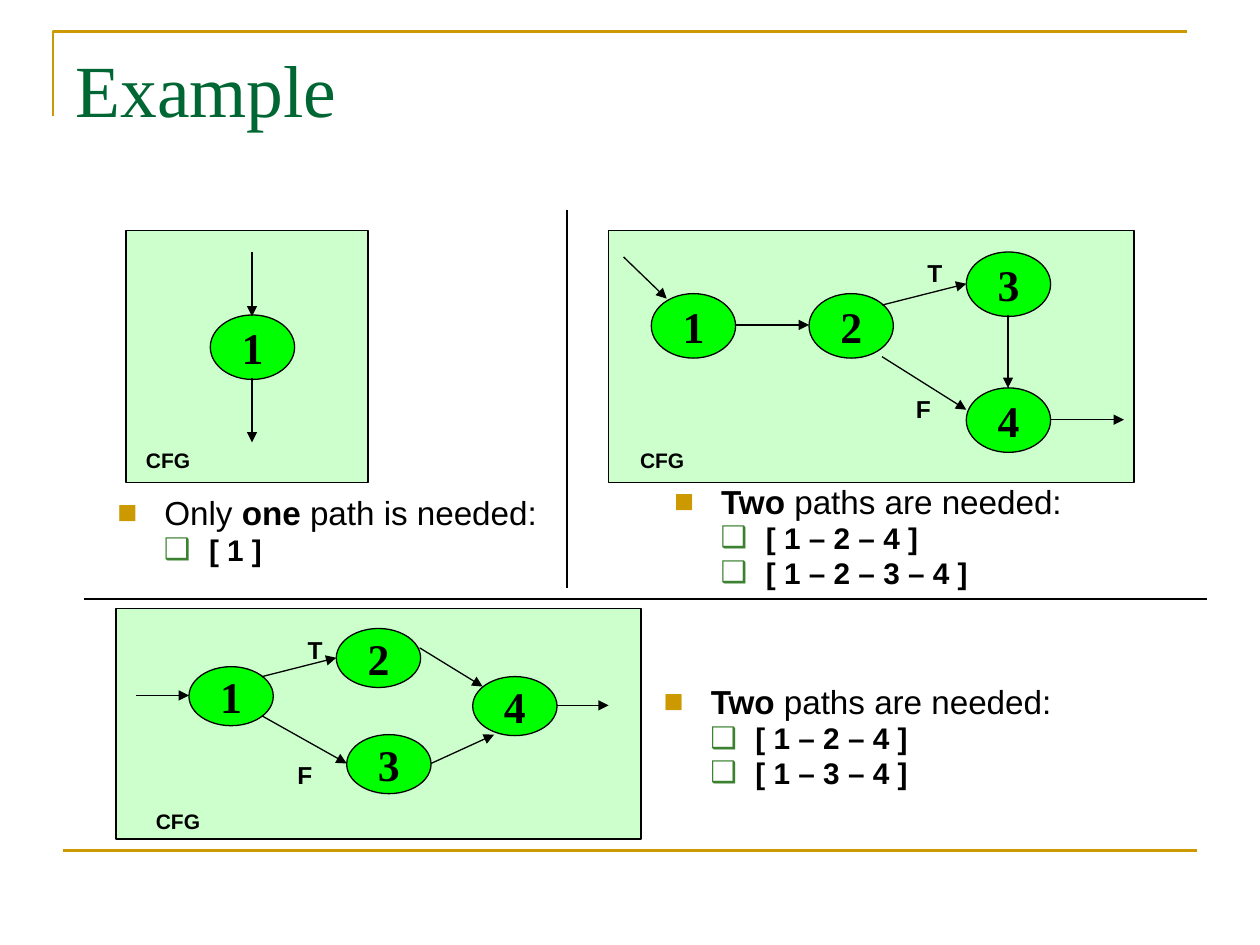
"""Build a slide that compares the test paths of three control flow graphs."""
from dataclasses import dataclass, field
from typing import Any

import lxml.etree
import pptx
import pptx.dml.color
import pptx.enum.shapes
import pptx.enum.text
import pptx.oxml.ns
import pptx.util

Point = tuple[float, float]
Box = tuple[float, float, float, float]

BLACK, GOLD, TITLE_GREEN, BULLET_GREEN = "000000", "CC9900", "006633", "3B812F"
PANEL_FILL, NODE_FILL = "CCFFCC", "00FF00"
SANS, SERIF = "Arial", "Times New Roman"
NODE_WIDTH = 1.7


@dataclass
class Label:
    text: str
    left: float
    top: float


@dataclass
class Graph:
    panel: Box
    node_height: float
    nodes: list[Label]
    arrows: list[tuple[Point, Point]]
    caption: Label
    branches: list[Label] = field(default_factory=list)
    grouped: bool = True


@dataclass
class PathList:
    box: Box
    heading: list[tuple[str, bool]]
    paths: list[str]


GRAPHS = [
    Graph((2.54, 4.65, 4.88, 5.08), 1.3, [Label("1", 4.24, 6.35)],
          [((5.08, 5.08), (5.08, 6.38)), ((5.08, 7.62), (5.08, 8.92))],
          Label("CFG", 2.54, 8.89), grouped=False),
    Graph((12.27, 4.65, 10.59, 5.08), 1.3,
          [Label("1", 13.13, 5.92), Label("2", 16.31, 5.92),
           Label("3", 19.48, 5.08), Label("4", 19.48, 7.82)],
          [((12.57, 5.18), (13.44, 6.02)), ((14.81, 6.55), (16.31, 6.55)),
           ((17.78, 6.15), (19.48, 5.72)), ((17.78, 7.19), (19.48, 8.26)),
           ((20.32, 6.35), (20.32, 7.82)), ((21.16, 8.46), (22.66, 8.46))],
          Label("CFG", 12.5, 8.89),
          [Label("T", 18.21, 5.08), Label("F", 17.98, 7.82)]),
    Graph((2.34, 12.27, 10.59, 4.65), 1.19,
          [Label("1", 3.81, 13.44), Label("2", 6.78, 12.67),
           Label("3", 6.99, 14.81), Label("4", 9.53, 13.64)],
          [((2.74, 14.02), (3.81, 14.02)), ((5.28, 13.64), (6.78, 13.26)),
           ((5.28, 14.43), (6.99, 15.39)), ((8.46, 13.06), (9.73, 13.84)),
           ((8.69, 15.39), (9.96, 14.81)), ((11.23, 14.22), (12.27, 14.22))],
          Label("CFG", 2.74, 16.18),
          [Label("T", 5.72, 12.67), Label("F", 5.51, 15.19)]),
]

TWO_PATHS = [("Two ", True), ("paths are needed:", False)]
PATH_LISTS = [
    PathList((2.11, 9.96, 9.09, 1.7),
             [("Only ", False), ("one ", True), ("path is needed:", False)], ["[ 1 ]"]),
    PathList((13.34, 9.73, 9.53, 2.74), TWO_PATHS, ["[ 1 – 2 – 4 ]", "[ 1 – 2 – 3 – 4 ]"]),
    PathList((13.13, 13.77, 8.46, 3.38), TWO_PATHS, ["[ 1 – 2 – 4 ]", "[ 1 – 3 – 4 ]"]),
]


def color(value: str) -> pptx.dml.color.RGBColor:
    return pptx.dml.color.RGBColor.from_string(value)


def lengths(*values: float) -> list[pptx.util.Length]:
    return [pptx.util.Cm(value) for value in values]


def style_line(line: Any, value: str, width: float) -> None:
    line.color.rgb = color(value)
    line.width = pptx.util.Pt(width)


def style_run(run: Any, name: str, size: float, value: str, bold: bool) -> None:
    run.font.name = name
    run.font.size = pptx.util.Pt(size)
    run.font.bold = bold
    run.font.color.rgb = color(value)


def write_centered(shape: Any, text: str, name: str, size: float) -> None:
    shape.text_frame.text = text
    shape.text_frame.word_wrap = True
    paragraph = shape.text_frame.paragraphs[0]
    paragraph.alignment = pptx.enum.text.PP_ALIGN.CENTER
    style_run(paragraph.runs[0], name, size, BLACK, True)


def add_panel(shapes: Any, kind: Any, box: Box, fill: str, width: float) -> Any:
    shape = shapes.add_shape(kind, *lengths(*box))
    shape.shadow.inherit = False
    shape.fill.solid()
    shape.fill.fore_color.rgb = color(fill)
    style_line(shape.line, BLACK, width)
    return shape


def add_line(shapes: Any, begin: Point, end: Point, value: str = BLACK,
             width: float = 1, arrow: bool = False) -> None:
    connector = shapes.add_connector(
        pptx.enum.shapes.MSO_CONNECTOR.STRAIGHT, *lengths(*begin, *end))
    style_line(connector.line, value, width)
    properties = connector.element.spPr
    if arrow:
        outline = properties.find(pptx.oxml.ns.qn("a:ln"))
        lxml.etree.SubElement(outline, pptx.oxml.ns.qn("a:tailEnd"), type="triangle")
    lxml.etree.SubElement(properties, pptx.oxml.ns.qn("a:effectLst"))


def add_label(shapes: Any, label: Label, width: float, height: float, size: float) -> None:
    shape = shapes.add_textbox(*lengths(label.left, label.top, width, height))
    write_centered(shape, label.text, SANS, size)
    shape.text_frame.auto_size = pptx.enum.text.MSO_AUTO_SIZE.SHAPE_TO_FIT_TEXT


def add_graph(slide: Any, graph: Graph) -> None:
    kinds = pptx.enum.shapes.MSO_SHAPE
    shapes = slide.shapes.add_group_shape().shapes if graph.grouped else slide.shapes
    add_panel(shapes, kinds.RECTANGLE, graph.panel, PANEL_FILL, 1)
    for node in graph.nodes:
        box = (node.left, node.top, NODE_WIDTH, graph.node_height)
        shape = add_panel(shapes, kinds.OVAL, box, NODE_FILL, 0.75)
        write_centered(shape, node.text, SERIF, 25)
        shape.text_frame.vertical_anchor = pptx.enum.text.MSO_ANCHOR.MIDDLE
    for begin, end in graph.arrows:
        add_line(shapes, begin, end, width=0.75, arrow=True)
    add_label(shapes, graph.caption, 1.7, 0.76, 12)
    for branch in graph.branches:
        add_label(shapes, branch, 1.27, 0.84, 14)


def format_bullet(paragraph: Any, character: str, value: str, margin: float,
                  hanging: float, space_before: float) -> None:
    paragraph.line_spacing = 0.8
    paragraph.space_before = pptx.util.Pt(space_before)
    properties = paragraph._p.get_or_add_pPr()
    properties.set("marL", str(pptx.util.Cm(margin)))
    properties.set("indent", str(-pptx.util.Cm(hanging)))
    bullet_color = lxml.etree.SubElement(properties, pptx.oxml.ns.qn("a:buClr"))
    lxml.etree.SubElement(bullet_color, pptx.oxml.ns.qn("a:srgbClr"), val=value)
    lxml.etree.SubElement(properties, pptx.oxml.ns.qn("a:buFont"), typeface=SANS)
    lxml.etree.SubElement(properties, pptx.oxml.ns.qn("a:buChar"), char=character)


def place_text(shape: Any, box: Box) -> Any:
    shape.left, shape.top, shape.width, shape.height = lengths(*box)
    frame = shape.text_frame
    frame.word_wrap = True
    frame.auto_size = pptx.enum.text.MSO_AUTO_SIZE.NONE
    frame.vertical_anchor = pptx.enum.text.MSO_ANCHOR.TOP
    return frame


def fill_path_list(shape: Any, path_list: PathList) -> None:
    frame = place_text(shape, path_list.box)
    heading = frame.paragraphs[0]
    for text, bold in path_list.heading:
        run = heading.add_run()
        run.text = text
        style_run(run, SANS, 19, BLACK, bold)
    format_bullet(heading, "■", GOLD, 0.95, 0.95, 0)
    for text in path_list.paths:
        paragraph = frame.add_paragraph()
        paragraph.text = text
        paragraph.level = 1
        style_run(paragraph.runs[0], SANS, 17, BLACK, True)
        format_bullet(paragraph, "❑", BULLET_GREEN, 1.85, 0.91, 3.4)


def add_title(slide: Any) -> None:
    corner = slide.shapes.build_freeform(*lengths(1.07, 2.34))
    corner.add_line_segments([lengths(1.07, 0.64), lengths(23.93, 0.64)], close=False)
    frame_line = corner.convert_to_shape()
    frame_line.shadow.inherit = False
    frame_line.fill.background()
    style_line(frame_line.line, GOLD, 1.5)
    frame = place_text(slide.shapes.title, (1.27, 0.76, 22.86, 3.18))
    frame.text = "Example"
    frame.paragraphs[0].alignment = pptx.enum.text.PP_ALIGN.LEFT
    style_run(frame.paragraphs[0].runs[0], SERIF, 42, TITLE_GREEN, False)


def main() -> None:
    presentation = pptx.Presentation()
    presentation.slide_width, presentation.slide_height = lengths(25.4, 19.05)
    slide = presentation.slides.add_slide(presentation.slide_layouts[1])
    add_title(slide)
    add_line(slide.shapes, (1.27, 17.15), (24.13, 17.15), GOLD, 1.5)
    for graph in GRAPHS:
        add_graph(slide, graph)
    for index, path_list in enumerate(PATH_LISTS):
        shape = (slide.shapes.add_textbox(*lengths(*path_list.box)) if index
                 else slide.placeholders[1])
        fill_path_list(shape, path_list)
    add_line(slide.shapes, (1.7, 12.07), (24.33, 12.07))
    add_line(slide.shapes, (11.43, 4.24), (11.43, 11.86))
    presentation.save("out.pptx")


if __name__ == "__main__":
    main()
